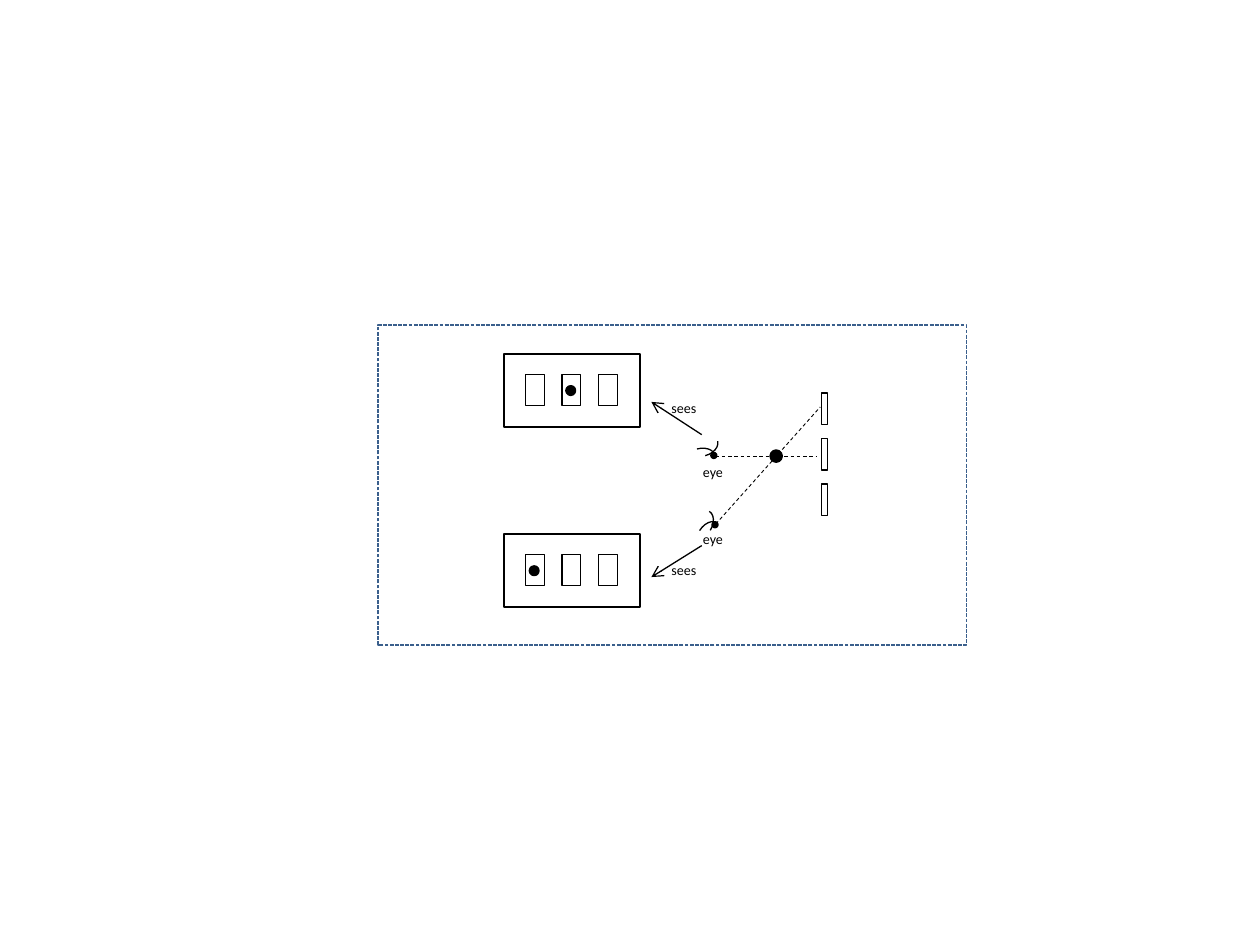
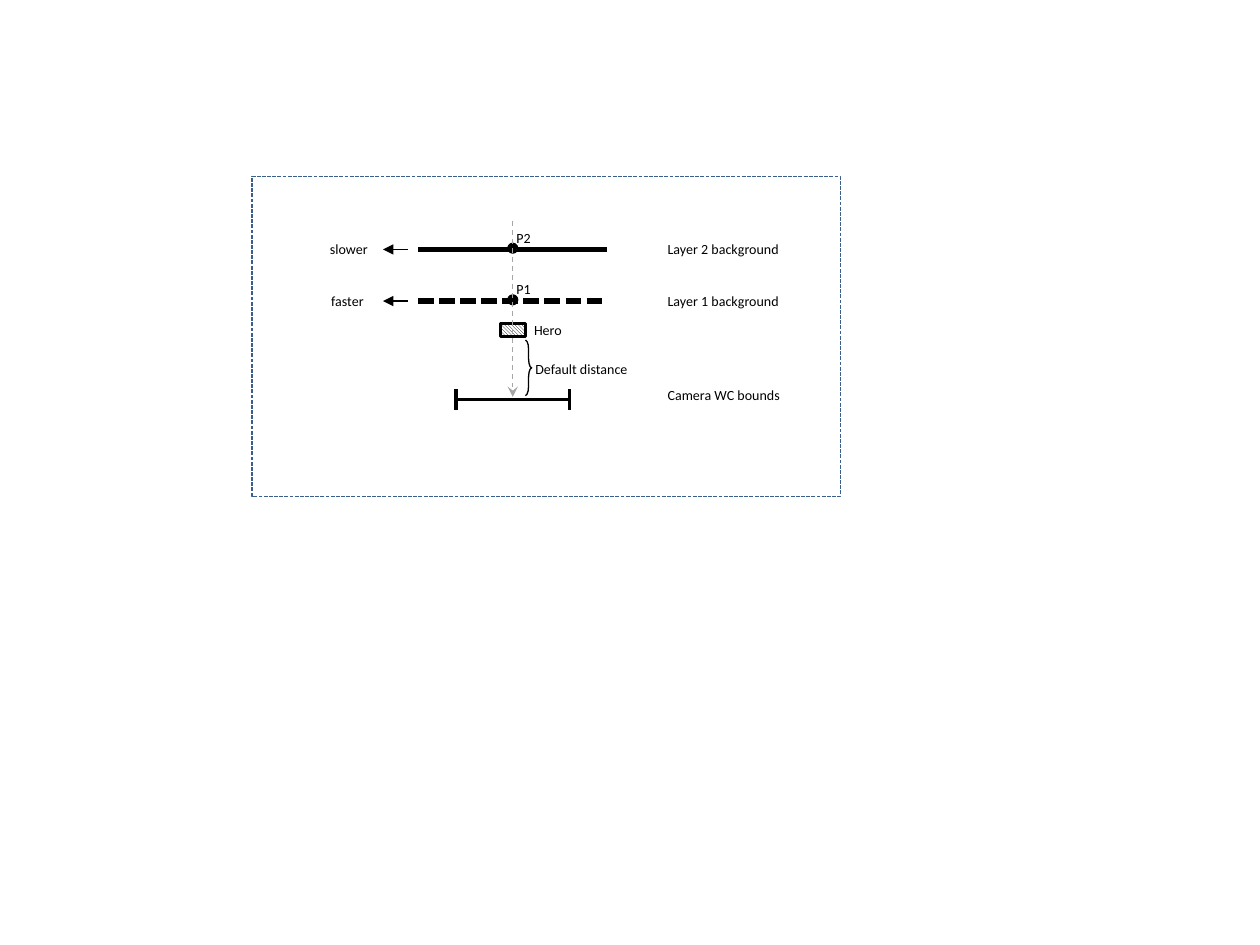
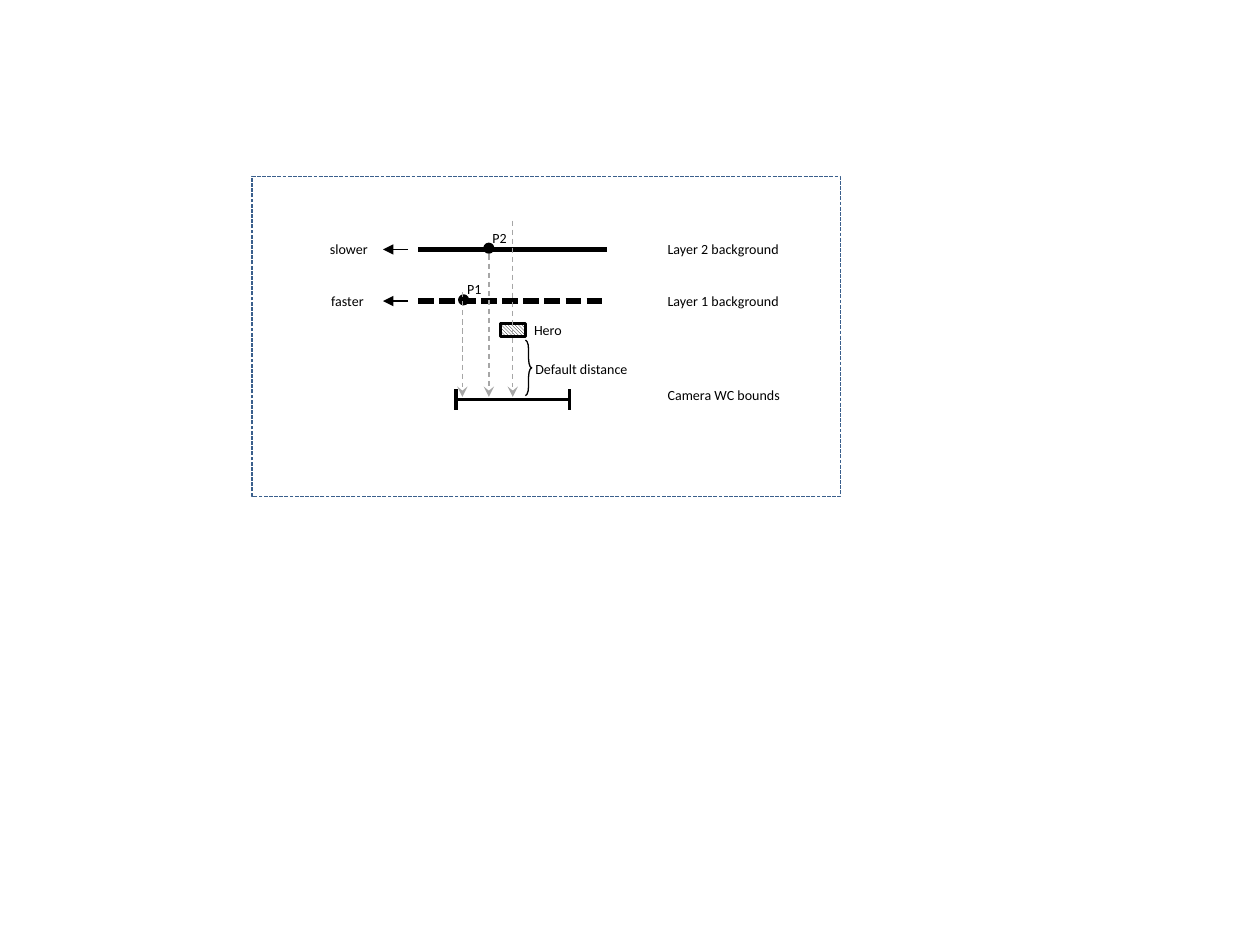
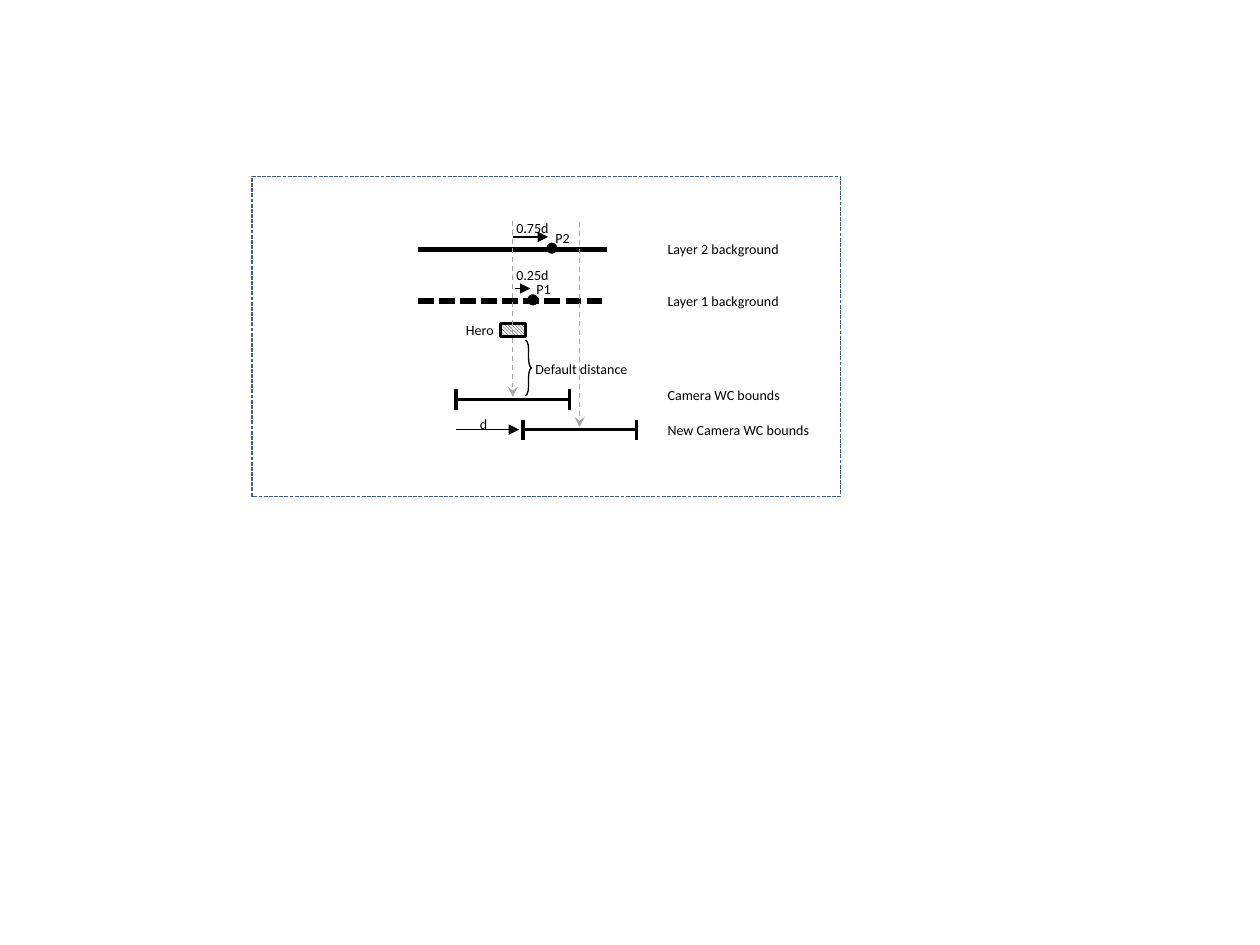
from lxml import etree
from pptx import Presentation
from pptx.dml.color import RGBColor
from pptx.enum import dml, shapes, text
from pptx.oxml import ns
from pptx.util import Inches, Pt

FONT = "Calibri"
BLACK, WHITE, GREY = "000000", "FFFFFF", "A6A6A6"
FRAME_BLUE, EYE_BLUE = "3A5F8C", "4F81BD"
DASH, SHORT_DASH = dml.MSO_LINE.DASH, dml.MSO_LINE.SQUARE_DOT
SHAPE = shapes.MSO_SHAPE
AXIS = 4.07


def rgb(color):
    return RGBColor.from_string(color)


def set_line(line, color, width, dash=None):
    line.fill.solid()
    line.fill.fore_color.rgb = rgb(color)
    line.width = Pt(width)
    if dash:
        line.dash_style = dash


def add_shape(parent, kind, x, y, w, h, fill=None, color=BLACK, width=0.75,
              dash=None, rotation=0, flip=False):
    sp = parent.add_shape(kind, Inches(x), Inches(y), Inches(w), Inches(h))
    sp.shadow.inherit = False
    sp.rotation = rotation
    if fill:
        sp.fill.solid()
        sp.fill.fore_color.rgb = rgb(fill)
    else:
        sp.fill.background()
    set_line(sp.line, color, width, dash)
    if flip:
        sp._element.spPr.find(ns.qn("a:xfrm")).set("flipH", "1")
    return sp


def add_line(parent, x1, y1, x2, y2, color=BLACK, width=0.75, dash=None, arrow=None):
    cn = parent.add_connector(shapes.MSO_CONNECTOR.STRAIGHT,
                              Inches(x1), Inches(y1), Inches(x2), Inches(y2))
    set_line(cn.line, color, width, dash)
    props = cn._element.spPr
    if arrow:
        etree.SubElement(props.find(ns.qn("a:ln")), ns.qn("a:tailEnd"), type=arrow)
    etree.SubElement(props, ns.qn("a:effectLst"))
    return cn


def add_text(parent, words, x, y, w, h=0.24, size=8, color=BLACK):
    sp = parent.add_textbox(Inches(x), Inches(y), Inches(w), Inches(h))
    tf = sp.text_frame
    tf.word_wrap = True
    tf.auto_size = text.MSO_AUTO_SIZE.SHAPE_TO_FIT_TEXT
    tf.margin_right = 0
    r = tf.paragraphs[0].add_run()
    r.text = words
    r.font.name = FONT
    r.font.size = Pt(size)
    r.font.color.rgb = rgb(color)
    return sp


def add_frame(s, x, y):
    add_shape(s.shapes, SHAPE.RECTANGLE, x, y, 4.67, 2.54,
              color=FRAME_BLUE, dash=SHORT_DASH)


def add_dot(parent, x, y, size=0.06, fill=BLACK, rotation=0):
    add_shape(parent, SHAPE.OVAL, x, y, size, size, fill=fill, width=2, rotation=rotation)


def add_eye(parent, upper, lower, pupil, rotation):
    for (x, y), flip in ((upper, False), (lower, True)):
        add_shape(parent, SHAPE.ARC, x, y, 0.17, 0.25, rotation=rotation, flip=flip)
    add_dot(parent, *pupil, size=0.03, fill=EYE_BLUE, rotation=rotation)


def add_view(s, y, dot_x):
    g = s.shapes.add_group_shape().shapes
    add_shape(g, SHAPE.RECTANGLE, 4, y, 1.08, 0.58, width=1)
    for i in range(3):
        add_shape(g, SHAPE.RECTANGLE, 4.17 + 0.29 * i, y + 0.16, 0.15, 0.25)
    add_dot(g, dot_x, y + 0.26)


def add_point(s, name, x, y):
    g = s.shapes.add_group_shape().shapes
    add_dot(g, x, y)
    add_text(g, name, x - 0.04, y - 0.17, 0.34)


def add_bounds(s, x, y):
    g = s.shapes.add_group_shape().shapes
    add_line(g, x, y, x + 0.9, y, width=2)
    for end in (x + 0.9, x):
        add_line(g, end, y - 0.08, end, y + 0.08, width=2)


def add_sight_line(s, x, top, bottom):
    add_line(s.shapes, x, top, x, bottom, color=GREY, dash=DASH, arrow="stealth")


def add_motion(s, word, x, y, w):
    add_text(s.shapes, word, x, y - 0.12, w)
    add_line(s.shapes, 3.24, y, 3.04, y, arrow="triangle")


def add_scene(s, p1_x, p2_x, hero_x=4.14):
    add_frame(s, 2, 1.4)
    add_text(s.shapes, "Camera WC bounds", 5.2, 3.02, 1.14)
    add_text(s.shapes, "Default distance", 4.15, 2.81, 1.02)
    add_text(s.shapes, "Hero", hero_x, 2.5, 0.43)
    for n, y, dash, x in ((2, 1.98, None, p2_x), (1, 2.39, SHORT_DASH, p1_x)):
        add_text(s.shapes, f"Layer {n} background", 5.2, y - 0.12, 1.18)
        add_line(s.shapes, 3.32, y, 4.82, y, width=3, dash=dash)
        add_point(s, f"P{n}", x, y - 0.04)
    hero = add_shape(s.shapes, SHAPE.RECTANGLE, 3.97, 2.57, 0.2, 0.1, width=1.75)
    hero.fill.patterned()
    hero.fill.pattern = dml.MSO_PATTERN.LIGHT_DOWNWARD_DIAGONAL
    hero.fill.fore_color.rgb = rgb(BLACK)
    hero.fill.back_color.rgb = rgb(WHITE)
    add_bounds(s, 3.62, 3.17)
    brace = add_shape(s.shapes, SHAPE.RIGHT_BRACE, 4.17, 2.7, 0.05, 0.44)
    brace.adjustments[0] = 1.47
    brace.adjustments[1] = 0.5
    add_sight_line(s, AXIS, 1.75, 3.15)


def add_moving_layers(s):
    add_motion(s, "slower", 2.52, 1.98, 0.52)
    add_motion(s, "faster", 2.53, 2.39, 0.48)


def build_parallax(s):
    add_frame(s, 3, 2.58)
    g = s.shapes.add_group_shape().shapes
    add_eye(g, (5.49, 3.41), (5.47, 3.52), (5.65, 3.6), 74.7)
    for i in range(3):
        add_shape(g, SHAPE.RECTANGLE, 6.52, 3.12 + 0.36 * i, 0.05, 0.25)
    add_dot(g, 6.12, 3.58, size=0.08)
    add_line(g, 5.68, 3.62, 6.48, 3.62, width=0.5, dash=DASH)
    add_eye(g, (5.48, 4.04), (5.54, 4.13), (5.66, 4.15), 31.3)
    add_line(g, 5.68, 4.16, 6.51, 3.23, width=0.5, dash=DASH)
    add_view(s, 2.81, 4.5)
    add_view(s, 4.24, 4.21)
    for start, end, sees_y, eye_y in ((3.45, 3.19, 3.12, 3.63), (4.33, 4.58, 4.41, 4.16)):
        add_line(s.shapes, 5.57, start, 5.17, end, arrow="arrow")
        add_text(s.shapes, "sees", 5.23, sees_y, 0.55)
        add_text(s.shapes, "eye", 5.48, eye_y, 0.39)


def build_aligned(s):
    add_scene(s, 4.04, 4.04)
    add_moving_layers(s)


def build_shifted(s):
    add_scene(s, 3.65, 3.85)
    add_moving_layers(s)
    add_sight_line(s, 3.88, 2.02, 3.15)
    add_sight_line(s, 3.67, 2.32, 3.15)


def build_camera_move(s):
    add_scene(s, 4.2, 4.35, hero_x=3.6)
    add_bounds(s, 4.15, 3.41)
    add_text(s.shapes, "New Camera WC bounds", 5.2, 3.3, 1.33)
    add_sight_line(s, 4.6, 1.76, 3.39)
    for words, x, y, w, start, end, line_y in (
            ("0.75d", 4, 1.69, 0.5, AXIS, 4.35, 1.88),
            ("0.25d", 4, 2.07, 0.5, 4.09, 4.21, 2.29),
            ("d", 3.71, 3.25, 0.25, 3.62, 4.12, 3.41)):
        add_line(s.shapes, start, line_y, end, line_y, arrow="triangle")
        add_text(s.shapes, words, x, y, w)


def main():
    prs = Presentation()
    prs.slide_width, prs.slide_height = Inches(10), Inches(7.5)
    for build in (build_parallax, build_aligned, build_shifted, build_camera_move):
        build(prs.slides.add_slide(prs.slide_layouts[6]))
    prs.save("out.pptx")


main()
